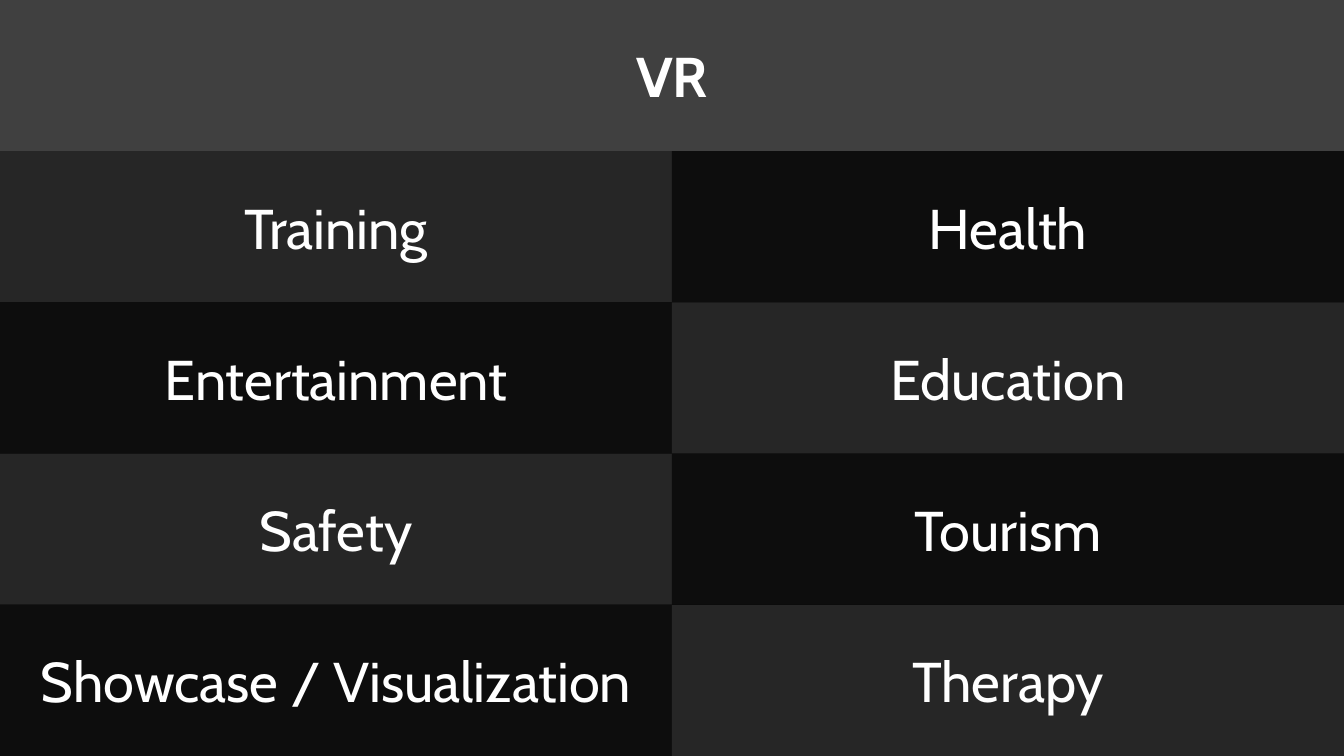
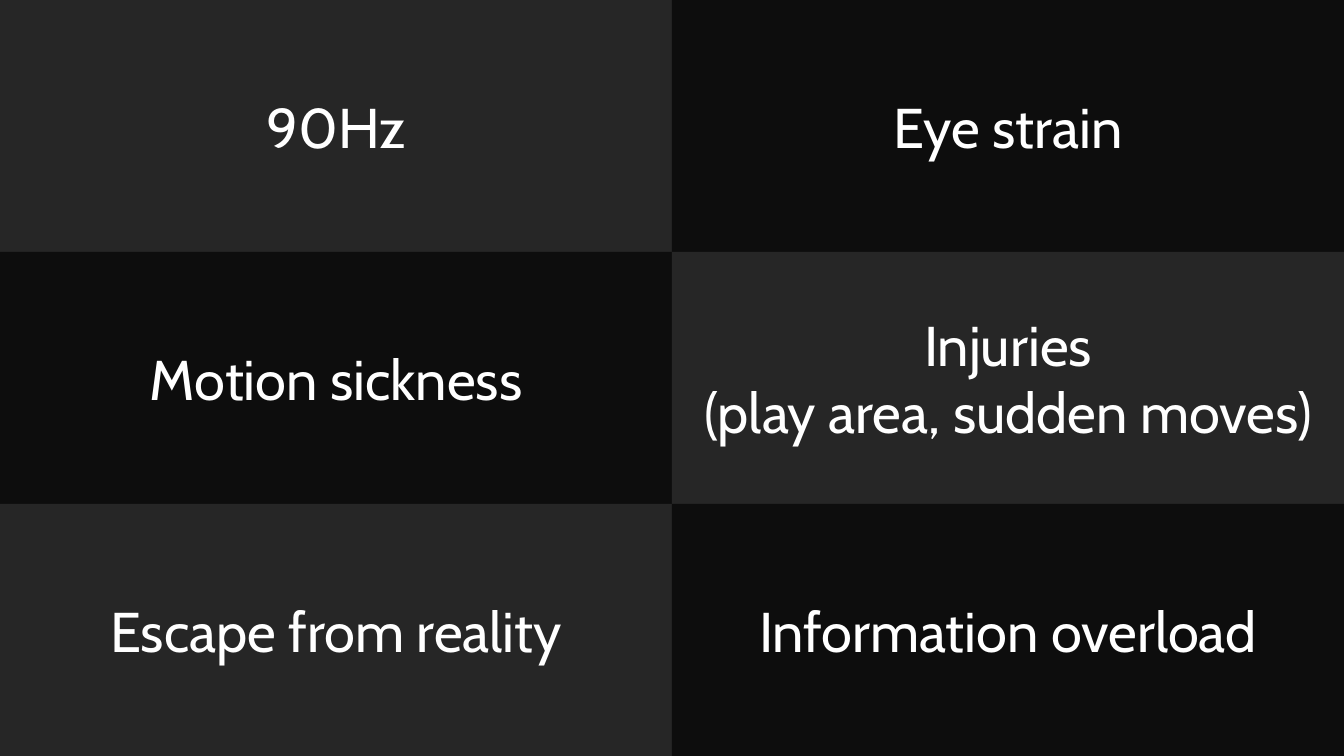
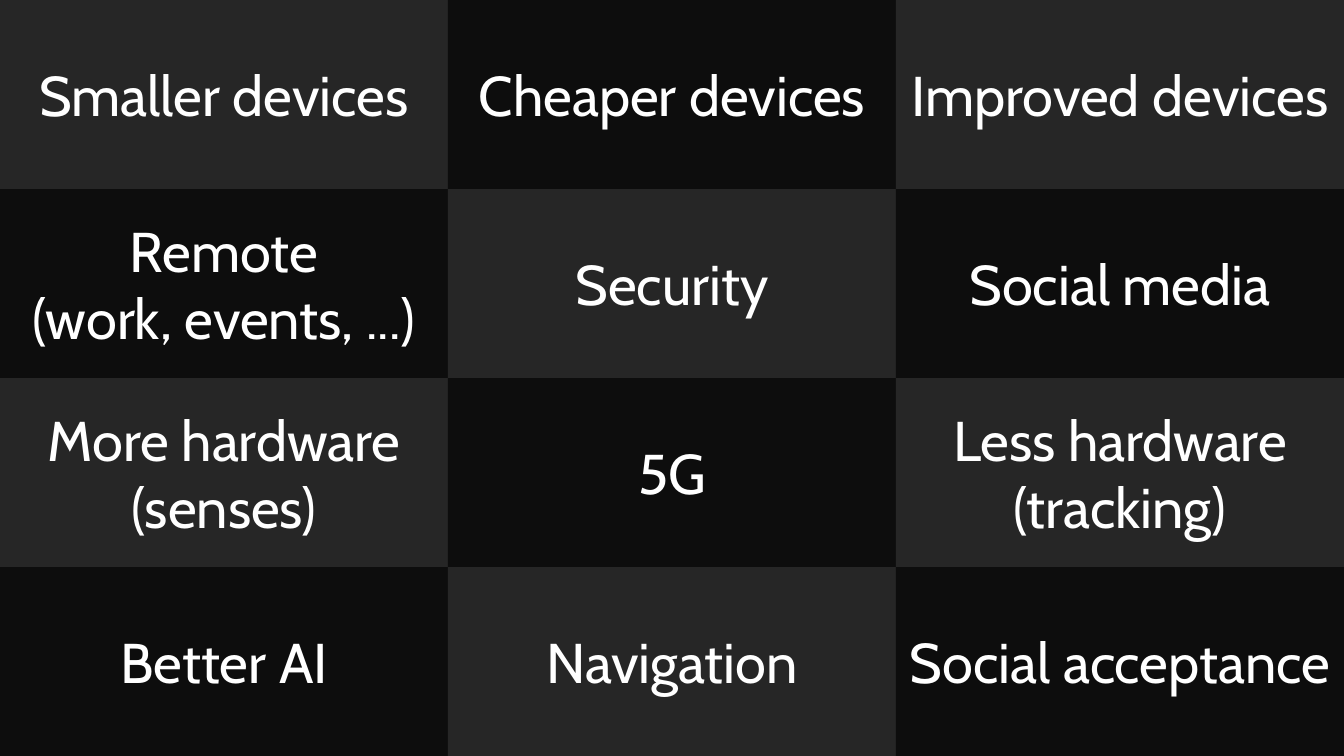
from dataclasses import dataclass

from pptx import Presentation
from pptx.dml.color import RGBColor
from pptx.enum import shapes, text
from pptx.util import Inches, Pt

BOARDS = [
    {"heading": "VR", "rows": [
        ("Training", "Health"),
        ("Entertainment", "Education"),
        ("Safety", "Tourism"),
        ("Showcase / Visualization", "Therapy"),
    ]},
    {"heading": None, "rows": [
        ("90Hz", "Eye strain"),
        ("Motion sickness", "Injuries\n(play area, sudden moves)"),
        ("Escape from reality", "Information overload"),
    ]},
    {"heading": None, "rows": [
        ("Smaller devices", "Cheaper devices", "Improved devices"),
        ("Remote\v(work, events, ...)", "Security", "Social media"),
        ("More hardware\v(senses)", "5G", "Less hardware\v(tracking)"),
        ("Better AI", "Navigation", "Social acceptance"),
    ]},
]


@dataclass(frozen=True)
class Theme:
    width: int = Inches(13.33)
    height: int = Inches(7.5)
    background: RGBColor = RGBColor(0x00, 0x00, 0x00)
    heading: RGBColor = RGBColor(0x40, 0x40, 0x40)
    tiles: tuple = (RGBColor(0x26, 0x26, 0x26), RGBColor(0x0D, 0x0D, 0x0D))
    ink: RGBColor = RGBColor(0xFF, 0xFF, 0xFF)
    font: str = "Cabin"
    size: int = Pt(40)


THEME = Theme()


def add_run(paragraph, wording, bold):
    run = paragraph.add_run()
    run.text = wording
    run.font.name = THEME.font
    run.font.size = THEME.size
    run.font.bold = bold
    run.font.color.rgb = THEME.ink


def add_tile(slide, box, fill, wording, bold=False):
    shape = slide.shapes.add_shape(shapes.MSO_SHAPE.RECTANGLE, *box)
    shape.shadow.inherit = False
    shape.fill.solid()
    shape.fill.fore_color.rgb = fill
    shape.line.fill.background()
    frame = shape.text_frame
    frame.word_wrap = True
    frame.vertical_anchor = text.MSO_ANCHOR.MIDDLE
    for index, block in enumerate(wording.split("\n")):
        paragraph = frame.add_paragraph() if index else frame.paragraphs[0]
        paragraph.alignment = text.PP_ALIGN.CENTER
        for line_index, line in enumerate(block.split("\v")):
            if line_index:
                paragraph.add_line_break()
            add_run(paragraph, line, bold)


def add_board(presentation, heading, rows):
    slide = presentation.slides.add_slide(presentation.slide_layouts[6])
    slide.background.fill.solid()
    slide.background.fill.fore_color.rgb = THEME.background
    first_row = 1 if heading else 0
    row_height = THEME.height // (len(rows) + first_row)
    if heading:
        add_tile(slide, (0, 0, THEME.width, row_height), THEME.heading, heading, bold=True)
    for row, labels in enumerate(rows):
        column_width = THEME.width // len(labels)
        for column, label in enumerate(labels):
            box = (column * column_width, (row + first_row) * row_height, column_width, row_height)
            add_tile(slide, box, THEME.tiles[(row + column) % 2], label)


def main():
    presentation = Presentation()
    presentation.slide_width = THEME.width
    presentation.slide_height = THEME.height
    for board in BOARDS:
        add_board(presentation, **board)
    presentation.save("out.pptx")


if __name__ == "__main__":
    main()
